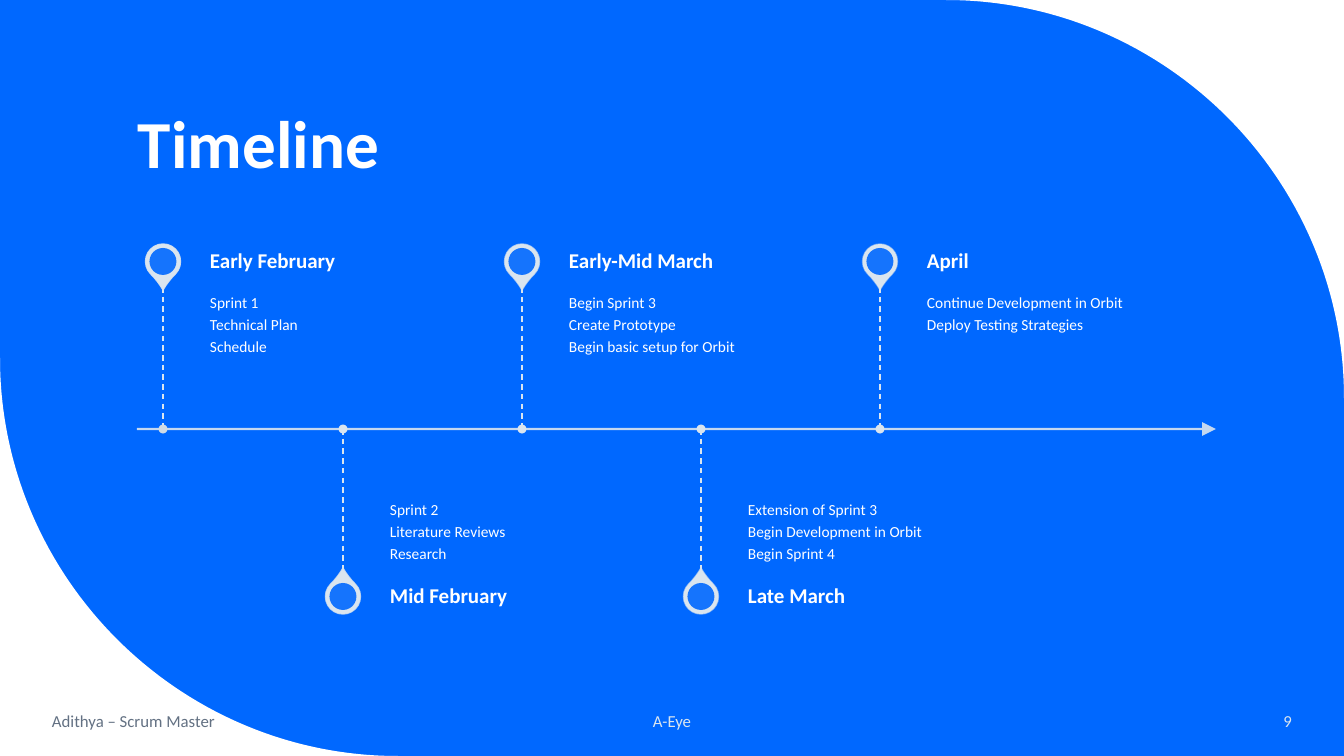
from lxml.etree import SubElement
from pptx import Presentation
from pptx.dml.color import RGBColor
from pptx.enum.dml import MSO_LINE_DASH_STYLE as DASH
from pptx.enum.shapes import MSO_CONNECTOR as CONNECTOR, MSO_SHAPE as SHAPE
from pptx.enum.text import MSO_ANCHOR as ANCHOR, MSO_AUTO_SIZE as AUTO_SIZE, PP_ALIGN as ALIGN
from pptx.oxml.ns import qn
from pptx.util import Emu, Pt

COLORS = {
    "blue": "0068FF",
    "white": "FFFFFF",
    "pale": "DAE5EF",
    "first_dot": "D0DBE4",
    "slate": "637183",
}
FONT = "Calibri"
WIDTH, HEIGHT = 1344, 756
CORNER_RADIUS = 398
ARC_HANDLE = 0.55
AXIS_START, AXIS_END, AXIS_Y = 137, 1216, 429
STEM, HEADING_HEIGHT = 142, 51

MILESTONES = [
    (163, "Early February", ["Sprint 1", "Technical Plan", "Schedule"]),
    (343, "Mid February", ["Sprint 2", "Literature Reviews", "Research"]),
    (522, "Early-Mid March", ["Begin Sprint 3", "Create Prototype", "Begin basic setup for Orbit"]),
    (701, "Late March", ["Extension of Sprint 3", "Begin Development in Orbit", "Begin Sprint 4"]),
    (880, "April", ["Continue Development in Orbit", "Deploy Testing Strategies"]),
]
FOOTERS = [
    ((42, 701, 242, 40), "Adithya – Scrum Master", ALIGN.LEFT, "slate"),
    ((445, 701, 454, 40), "A-Eye", ALIGN.CENTER, "pale"),
    ((1119, 701, 183, 40), "9", ALIGN.RIGHT, "pale"),
]


def px(length):
    """Turn pixels into EMU."""
    return Emu(round(length * 914400 / 100.8))


def rgb(name):
    """Look up a named colour."""
    return RGBColor.from_string(COLORS[name])


def set_alpha(fill_parent, percent):
    """Make the solid fill under an element partly transparent."""
    color = fill_parent.find(qn("a:solidFill"))[0]
    SubElement(color, qn("a:alpha"), val=str(percent * 1000))


def style_text(frame, lines, size, color, bold=False, align=ALIGN.LEFT,
               anchor=ANCHOR.MIDDLE, spacing=1.0, after=0, insets=(10, 5, 10, 5)):
    """Fill a text frame and format its paragraphs."""
    frame.text = "\n".join(lines)
    frame.word_wrap = True
    frame.auto_size = AUTO_SIZE.NONE
    frame.vertical_anchor = anchor
    frame.margin_left, frame.margin_top, frame.margin_right, frame.margin_bottom = map(px, insets)
    for paragraph in frame.paragraphs:
        paragraph.alignment = align
        paragraph.line_spacing = spacing
        paragraph.space_after = Pt(after)
        for run in paragraph.runs:
            run.font.name = FONT
            run.font.size = Pt(size)
            run.font.bold = bold
            run.font.color.rgb = rgb(color)


def add_text(slide, box, lines, size, color, **options):
    """Add a text box at a pixel box."""
    shape = slide.shapes.add_textbox(*map(px, box))
    style_text(shape.text_frame, lines, size, color, **options)


def add_line(slide, start, end, width):
    """Add a pale straight line without shadow."""
    connector = slide.shapes.add_connector(CONNECTOR.STRAIGHT, *map(px, (*start, *end)))
    connector.line.color.rgb = rgb("pale")
    connector.line.width = Pt(width)
    SubElement(connector._element.spPr, qn("a:effectLst"))
    return connector


def fill_shape(shape, color):
    """Give a shape a plain fill without line or shadow."""
    shape.shadow.inherit = False
    shape.fill.solid()
    shape.fill.fore_color.rgb = rgb(color)
    shape.line.fill.background()


def add_round(slide, kind, center, size, color):
    """Add a filled shape centred on a point."""
    x, y = center
    shape = slide.shapes.add_shape(kind, px(x - size / 2), px(y - size / 2), px(size), px(size))
    fill_shape(shape, color)
    return shape


def add_corner(slide, corner, direction):
    """Cover the outside of a rounded slide corner in white."""
    x, y = corner
    across, down = direction
    arc_start = (x - across * CORNER_RADIUS, y)
    arc_end = (x, y - down * CORNER_RADIUS)
    builder = slide.shapes.build_freeform(px(x), px(y))
    builder.add_line_segments([tuple(map(px, arc_start)), tuple(map(px, arc_end))], close=True)
    shape = builder.convert_to_shape()
    fill_shape(shape, "white")

    reach = CORNER_RADIUS * (1 - ARC_HANDLE)
    handles = [(x - across * reach, y), (x, y - down * reach)]
    curve = list(shape._element.iter(qn("a:lnTo")))[1]
    curve.tag = qn("a:cubicBezTo")
    for position, (handle_x, handle_y) in enumerate(handles):
        point = SubElement(curve, qn("a:pt"), x=str(px(handle_x) - shape.left),
                           y=str(px(handle_y) - shape.top))
        curve.insert(position, point)


def add_title(slide, box, text):
    """Place and format the title placeholder."""
    title = slide.shapes.title
    title.left, title.top, title.width, title.height = map(px, box)
    style_text(title.text_frame, [text], 48, "white", bold=True, anchor=ANCHOR.BOTTOM, spacing=0.9)


def add_axis(slide):
    """Draw the timeline arrow."""
    axis = add_line(slide, (AXIS_START, AXIS_Y), (AXIS_END, AXIS_Y), 1.5)
    line = axis.line._get_or_add_ln()
    set_alpha(line, 90)
    SubElement(line, qn("a:tailEnd"), type="triangle", w="lg", len="lg")


def add_milestone(slide, index, x, heading, details):
    """Draw one stop with its pin, stem and texts above or below the axis."""
    above = index % 2 == 0
    side = -1 if above else 1
    stem_end = AXIS_Y + side * STEM
    pin_center = (x, stem_end + side * HEADING_HEIGHT / 2)

    pin = add_round(slide, SHAPE.TEAR, pin_center, 35, "pale")
    pin.adjustments[0] = 1.15
    pin.rotation = 135 if above else 315
    pin.line.color.rgb = rgb("pale")
    pin.line.width = Pt(1)
    set_alpha(pin.line._get_or_add_ln(), 90 - 10 * index)
    hole = add_round(slide, SHAPE.OVAL, pin_center, 27, "blue")
    set_alpha(hole._element.spPr, 90)

    left, width = x + 47, 255
    add_text(slide, (left, min(AXIS_Y, stem_end), width, STEM), details, 11, "white",
             anchor=ANCHOR.TOP if above else ANCHOR.BOTTOM, spacing=0.9, after=3.85,
             insets=(0, 8, 8, 11) if above else (0, 11, 0, 8))
    add_text(slide, (left, pin_center[1] - HEADING_HEIGHT / 2, width, HEADING_HEIGHT),
             [heading], 15, "white", bold=True, spacing=0.9, insets=(0, 0, 10, 0))
    stem = add_line(slide, (x, min(AXIS_Y, stem_end)), (x, max(AXIS_Y, stem_end)), 1)
    stem.line.dash_style = DASH.DASH
    add_round(slide, SHAPE.OVAL, (x, AXIS_Y), 9, "pale" if index else "first_dot")


def add_footers(slide):
    """Write the three footer texts."""
    for box, text, align, color in FOOTERS:
        add_text(slide, box, [text], 12, color, align=align)


def main():
    """Build and save the timeline slide."""
    presentation = Presentation()
    presentation.slide_width, presentation.slide_height = px(WIDTH), px(HEIGHT)
    slide = presentation.slides.add_slide(presentation.slide_layouts[5])
    slide.background.fill.solid()
    slide.background.fill.fore_color.rgb = rgb("blue")
    add_corner(slide, (WIDTH, 0), (1, -1))
    add_corner(slide, (0, HEIGHT), (-1, 1))
    add_title(slide, (128, 42, 1078, 146), "Timeline")
    add_axis(slide)
    for index, (x, heading, details) in enumerate(MILESTONES):
        add_milestone(slide, index, x, heading, details)
    add_footers(slide)
    presentation.save("out.pptx")


if __name__ == "__main__":
    main()
